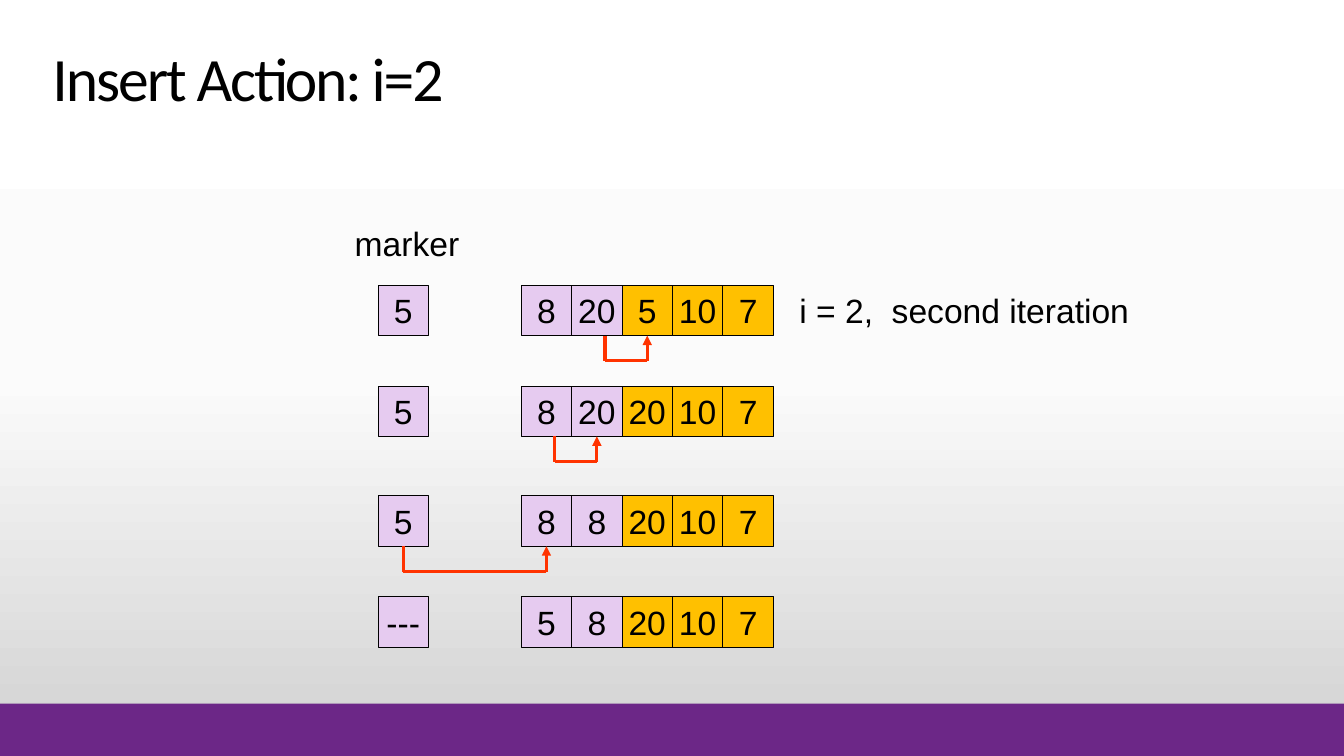
from copy import deepcopy

from pptx import Presentation
from pptx.dml.color import RGBColor
from pptx.enum.shapes import MSO_CONNECTOR, MSO_SHAPE
from pptx.enum.text import MSO_ANCHOR, MSO_AUTO_SIZE, PP_ALIGN
from pptx.oxml.ns import qn
from pptx.util import Inches, Pt
from lxml.etree import SubElement

COLORS = {
    "text": "000000",
    "sorted": "E6CBF0",
    "unsorted": "FFC000",
    "arrow": "FF3300",
    "footer": "6C2787",
}
BACKGROUND_STOPS = [(0, "FFFFFF"), (0.5, "FBFBFB"), (1, "D1D1D1")]

CELL = 0.5
MARKER_LEFT = 3.75
ARRAY_LEFT = 5.17
SORTED_COUNT = 2
DROP = 0.25

# Row top, marker, array values, arrow start and end
STEPS = [
    (2.83, "5", ["8", "20", "5", "10", "7"], (6, 6.42)),
    (3.83, "5", ["8", "20", "20", "10", "7"], (5.5, 5.92)),
    (4.92, "5", ["8", "8", "20", "10", "7"], (4, 5.42)),
    (5.92, "---", ["5", "8", "20", "10", "7"], None),
]


def rgb(name):
    return RGBColor.from_string(COLORS[name])


def format_text(para, size, font_name):
    for span in para.runs:
        span.font.size = Pt(size)
        span.font.name = font_name
        span.font.color.rgb = rgb("text")


def paint_background(page):
    fill = page.background.fill
    fill.gradient()
    fill.gradient_angle = 270
    stop_list = page.element.find(".//" + qn("a:gsLst"))
    stop_list.append(deepcopy(stop_list[-1]))
    for stop, (position, color) in zip(fill.gradient_stops, BACKGROUND_STOPS):
        stop.position = position
        stop.color.rgb = RGBColor.from_string(color)


def add_box(page, left, top, width, height, color):
    box = page.shapes.add_shape(MSO_SHAPE.RECTANGLE, Inches(left), Inches(top),
                                Inches(width), Inches(height))
    box.shadow.inherit = False
    box.fill.solid()
    box.fill.fore_color.rgb = rgb(color)
    box.line.fill.background()
    return box


def add_title(page, left, top, width, height):
    title = page.shapes.title
    title.left, title.top = Inches(left), Inches(top)
    title.width, title.height = Inches(width), Inches(height)
    frame = title.text_frame
    frame.text = "Insert Action: i=2"
    frame.word_wrap = True
    frame.auto_size = MSO_AUTO_SIZE.NONE
    frame.vertical_anchor = MSO_ANCHOR.BOTTOM
    para = frame.paragraphs[0]
    para.alignment = PP_ALIGN.LEFT
    para.line_spacing = 0.9
    format_text(para, 44, "Calibri")
    # Tighten the letter spacing by 1.5 points
    para.runs[0].font._element.set("spc", "-150")


def add_label(page, text, left, top, width, height):
    label = page.shapes.add_textbox(Inches(left), Inches(top),
                                    Inches(width), Inches(height))
    frame = label.text_frame
    frame.text = text
    frame.word_wrap = True
    format_text(frame.paragraphs[0], 24, "Arial")


def add_cell(page, text, left, top, color):
    cell = add_box(page, left, top, CELL, CELL, color)
    cell.line.color.rgb = rgb("text")
    cell.line.width = Pt(0.75)
    frame = cell.text_frame
    frame.text = text
    frame.word_wrap = False
    frame.vertical_anchor = MSO_ANCHOR.MIDDLE
    para = frame.paragraphs[0]
    para.alignment = PP_ALIGN.CENTER
    format_text(para, 24, "Arial")


def add_line(page, start, end, arrowhead=False):
    line = page.shapes.add_connector(MSO_CONNECTOR.STRAIGHT,
                                     *map(Inches, start + end))
    line.line.color.rgb = rgb("arrow")
    line.line.width = Pt(2.25)
    if arrowhead:
        SubElement(line.line._get_or_add_ln(), qn("a:tailEnd"), type="triangle")
    SubElement(line.element.spPr, qn("a:effectLst"))


def add_move_arrow(page, start, end, top):
    bottom = top + DROP
    add_line(page, (start, bottom), (start, top))
    add_line(page, (end, bottom), (end, top), arrowhead=True)
    add_line(page, (end, bottom), (start, bottom))


def add_step(page, top, marker, values, move):
    for index, value in enumerate(values):
        color = "sorted" if index < SORTED_COUNT else "unsorted"
        add_cell(page, value, ARRAY_LEFT + index * CELL, top, color)
    add_cell(page, marker, MARKER_LEFT, top, "sorted")
    if move:
        add_move_arrow(page, *move, top + CELL)


def main():
    deck = Presentation()
    deck.slide_width, deck.slide_height = Inches(13.33), Inches(7.5)
    page = deck.slides.add_slide(deck.slide_layouts[5])

    # Background, footer band and title
    paint_background(page)
    add_box(page, 0, 6.98, 13.33, 0.52, "footer")
    add_title(page, 0.42, 0.32, 10.25, 0.87)

    # Steps of the insertion
    for step in STEPS:
        add_step(page, *step)

    # Labels
    add_label(page, "i = 2,  second iteration", 7.83, 2.83, 3.58, 0.5)
    add_label(page, "marker", 3.42, 2.16, 1.33, 0.5)

    deck.save("out.pptx")


if __name__ == "__main__":
    main()
